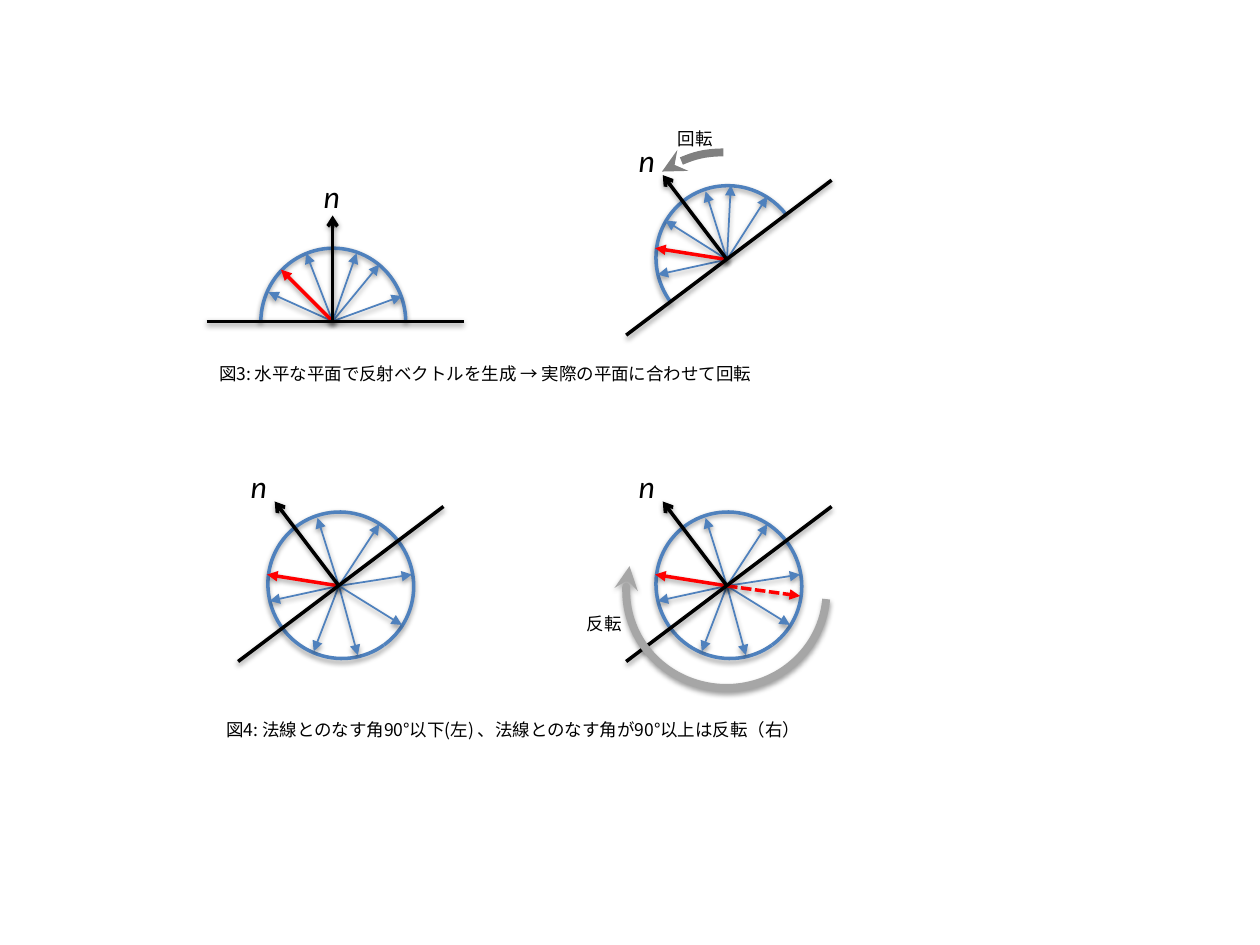
from lxml import etree
from pptx import Presentation, util as u
from pptx.dml.color import RGBColor
from pptx.enum import dml, shapes, text
from pptx.oxml import ns

BLUE = RGBColor(0x4F, 0x81, 0xBD)
RED = RGBColor(0xFF, 0, 0)
BLACK = RGBColor(0, 0, 0)
GRAY = RGBColor(0x80, 0x80, 0x80)
SILVER = RGBColor(0xA6, 0xA6, 0xA6)
LATIN, CJK = "Calibri", "Noto Sans CJK JP"

# All points in a panel are offsets from its centre
HALF, FULL = (108.016, 0), (54.875, 54.658)
FLAT = dict(turn=0, ring=(-0.57, -0.58), red=(-0.41, -0.41), normal=(0, -0.84),
            plane=((-1, 0), (1.04, 0)), mark=(-0.17, -1.19))
TILT = dict(turn=322.9, ring=(-0.56, -0.59), red=(-0.57, -0.09), normal=(-0.51, -0.67),
            plane=((-0.8, 0.6), (0.83, -0.63)), mark=(-0.8, -0.99))

FLAT_RAYS = [(0.55, -0.2), (0.37, -0.45), (0.19, -0.54), (-0.21, -0.54), (-0.51, -0.23)]
TILT_RAYS = [(0.32, -0.5), (0.03, -0.59), (-0.17, -0.54), (-0.49, -0.31), (-0.55, 0.12)]
FULL_RAYS = [(0.32, -0.49), (-0.2, 0.52), (-0.17, -0.54), (0.15, 0.55),
             (-0.55, 0.12), (0.58, -0.09), (0.5, 0.31)]

# centre, geometry, arc angles, rays, dashed ray
PANELS = [
    ((2.64, 2.55), FLAT, HALF, FLAT_RAYS, None),
    ((5.77, 2.06), TILT, HALF, TILT_RAYS, None),
    ((2.69, 4.65), TILT, FULL, FULL_RAYS, None),
    ((5.77, 4.65), TILT, FULL, FULL_RAYS, (0.58, 0.08)),
]

# left, top, width, height, wrap, words
NOTES = [
    (1.64, 2.83, 4.69, 0.27, True, "図3: 水平な平面で反射ベクトルを生成 → 実際の平面に合わせて回転"),
    (1.7, 5.66, 5, 0.27, True, "図4: 法線とのなす角90°以下(左) 、法線とのなす角が90°以上は反転（右）"),
    (5.28, 0.97, 0.48, 0.27, False, "回転"),
    (4.56, 4.82, 0.48, 0.27, False, "反転"),
]

deck = Presentation()
deck.slide_width, deck.slide_height = u.Inches(10), u.Inches(7.5)
slide = deck.slides.add_slide(deck.slide_layouts[6])


def sub(node, tag, **attrs):
    return etree.SubElement(node, ns.qn(tag), attrs)


def style(item, color, width, head=None, tail=None, dash=None, shadow=True):
    """Set the line, its arrowheads and the soft shadow below it."""
    line = item.line
    line.color.rgb = color
    line.width = u.Pt(width)
    if dash:
        line.dash_style = dash
    props = item._element.spPr
    edge = props.find(ns.qn("a:ln"))
    for tag, kind in (("a:headEnd", head), ("a:tailEnd", tail)):
        if kind:
            sub(edge, tag, type=kind)
    effect = sub(props, "a:effectLst")
    if shadow:
        drop = sub(effect, "a:outerShdw", blurRad=str(u.Pt(3.1)), dist=str(u.Pt(1.6)),
                   dir="5400000", rotWithShape="0")
        sub(sub(drop, "a:srgbClr", val="000000"), "a:alpha", val="38000")


def arc(left, top, width, height, angles, color, weight, turn=0, **look):
    item = slide.shapes.add_shape(shapes.MSO_SHAPE.ARC, *map(u.Inches, (left, top, width, height)))
    item.adjustments[0], item.adjustments[1] = angles
    item.rotation = turn
    item.fill.background()
    style(item, color, weight, **look)


def label(left, top, width, height, wrap, words, size=10, font=CJK, italic=None):
    box = slide.shapes.add_textbox(*map(u.Inches, (left, top, width, height)))
    frame = box.text_frame
    frame.word_wrap = wrap
    frame.auto_size = text.MSO_AUTO_SIZE.SHAPE_TO_FIT_TEXT
    run = frame.paragraphs[0].add_run()
    run.text = words
    run.font.size, run.font.name, run.font.italic = u.Pt(size), font, italic
    run.font.color.rgb = BLACK
    sub(run.font._element, "a:ea", typeface=CJK)


def panel(mid, geo, angles, rays, dashed):
    def at(off):
        return mid[0] + off[0], mid[1] + off[1]

    def line(start, end, color, width, **look):
        ends = map(u.Inches, (*at(start), *at(end)))
        style(slide.shapes.add_connector(shapes.MSO_CONNECTOR.STRAIGHT, *ends),
              color, width, **look)

    hub = (0, 0)
    arc(*at(geo["ring"]), 1.15, 1.17, angles, BLUE, 2, geo["turn"])
    for tip in rays:
        line(hub, tip, BLUE, 1, tail="triangle")
    line(hub, geo["red"], RED, 2, tail="triangle")
    line(hub, geo["normal"], BLACK, 2, tail="arrow")
    if dashed:
        line(hub, dashed, RED, 2, tail="triangle", dash=dml.MSO_LINE.SQUARE_DOT)
    line(*geo["plane"], BLACK, 2)
    label(*at(geo["mark"]), 0.41, 0.4, False, "n", 18, LATIN, True)


for spec_row in PANELS:
    panel(*spec_row)

# Turning arrows
arc(4.87, 1.21, 1.76, 1.75, (141.349, 161.676), GRAY, 4.5, head="stealth", shadow=False)
arc(4.97, 3.92, 1.59, 1.54, (2.817, 116.6), SILVER, 4.5, tail="stealth")

# Captions and arrow names
for note in NOTES:
    label(*note)

deck.save("out.pptx")
